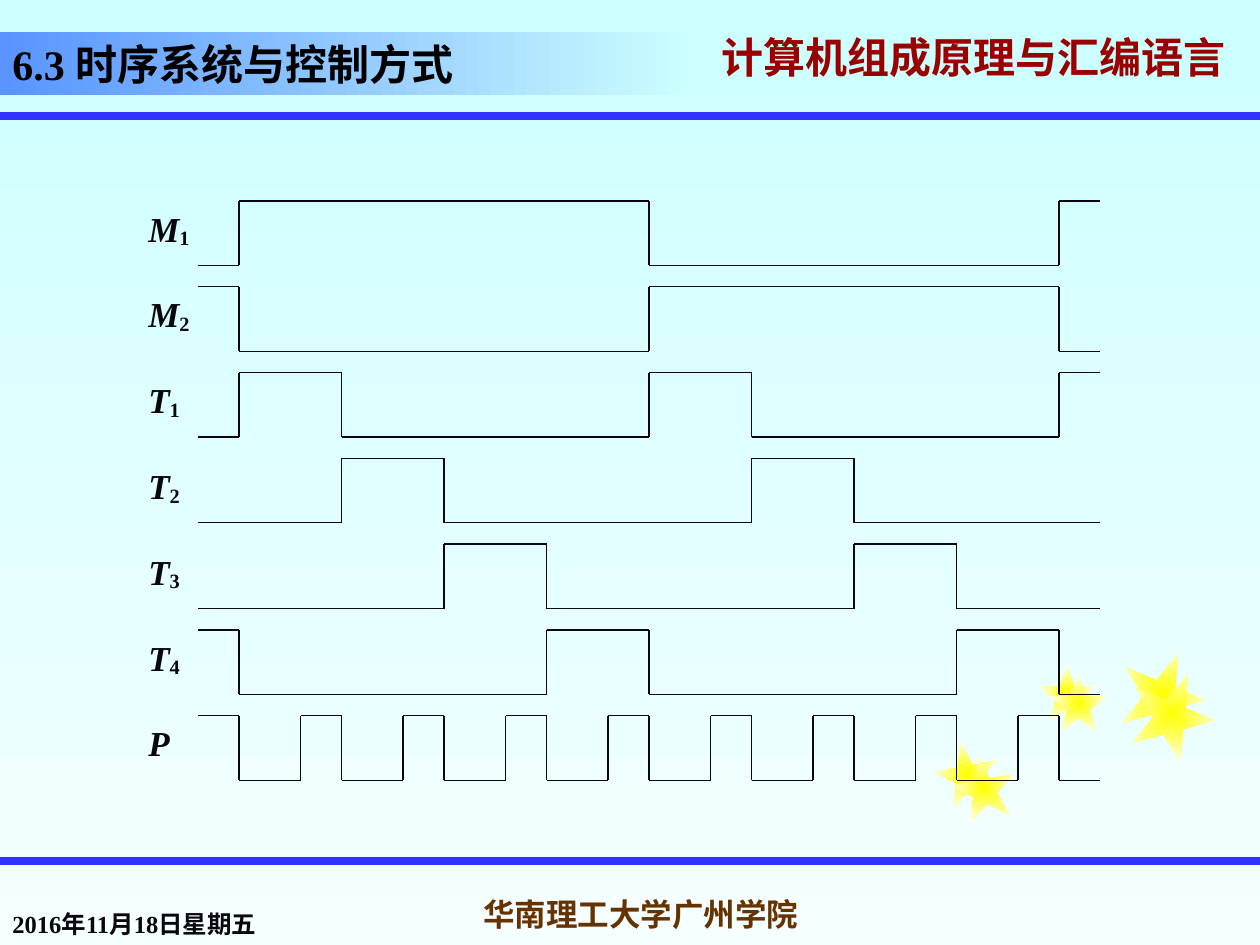
from lxml import etree
from pptx import Presentation
from pptx.dml.color import RGBColor
from pptx.enum import shapes, text
from pptx.oxml.ns import qn
from pptx.util import Cm, Pt

# Content
COURSE = "计算机组成原理与汇编语言"
SECTION = "6.3 时序系统与控制方式"
DATE = "2016年11月18日星期五"
SCHOOL = "华南理工大学广州学院"

# Signal letter, subscript, starting level, cycles at which the level flips
SIGNALS = [
    ("M", "1", 0, [0, 4, 8]),
    ("M", "2", 1, [0, 4, 8]),
    ("T", "1", 0, [0, 1, 4, 5, 8]),
    ("T", "2", 0, [1, 2, 5, 6]),
    ("T", "3", 0, [2, 3, 6, 7]),
    ("T", "4", 1, [0, 3, 4, 7, 8]),
    ("P", "", 1, [0] + [n + part for n in range(8) for part in (0.6, 1)]),
]
# Left, top, size in cm, and rotation
STARS = [
    (18.85, 14.96, 1.27, -11), (20.93, 13.39, 1.17, 0), (22.58, 13.13, 1.7, 22),
    (19.2, 15.24, 1.27, -11), (21.16, 13.59, 1.17, 0), (22.78, 13.54, 1.7, 22),
]
COLORS = {
    "sky": "CCFFFF", "pale": "F5FFFF", "band": "5994FF", "rule": "3333FF",
    "star": "FFFF00", "glow": "FFFFF5", "ink": "08080C", "black": "000000",
    "course": "990000", "school": "663300", "shadow": "808080",
}
LATIN, HAN = "Times New Roman", "Noto Sans CJK SC"

# Timing grid in cm
WIDTH, HEIGHT = 25.4, 19.05
ORIGIN, CYCLE = 4.82, 16.53 / 8
LEAD = 0.4  # cycles drawn before the first and after the last edge
TOP, PITCH, SWING = 4.05, 1.73, 1.3

prs = Presentation()
prs.slide_width, prs.slide_height = Cm(WIDTH), Cm(HEIGHT)
slide = prs.slides.add_slide(prs.slide_layouts[6])


def rgb(name):
    return RGBColor.from_string(COLORS[name])


def blend(fill, start, end, angle=0):
    fill.gradient()
    fill.gradient_angle = angle
    for stop, name in zip(fill.gradient_stops, (start, end)):
        stop.color.rgb = rgb(name)


def line(x1, y1, x2, y2, color, width):
    stroke = slide.shapes.add_connector(
        shapes.MSO_CONNECTOR.STRAIGHT, Cm(x1), Cm(y1), Cm(x2), Cm(y2))
    stroke.line.color.rgb = rgb(color)
    stroke.line.width = Pt(width)
    etree.SubElement(stroke._element.spPr, qn("a:effectLst"))


def style(paragraph, size, color, latin=LATIN):
    font = paragraph.font
    font.name, font.size, font.bold = latin, Pt(size), True
    font.color.rgb = rgb(color)
    etree.SubElement(font._element, qn("a:ea"), typeface=HAN)


def write(frame, words, size, color, anchor, align, latin=LATIN, wrap=True):
    frame.word_wrap = wrap
    frame.vertical_anchor = anchor
    paragraph = frame.paragraphs[0]
    paragraph.text = words
    paragraph.alignment = align
    style(paragraph, size, color, latin)
    return paragraph


def box(left, top, width, height):
    return slide.shapes.add_textbox(Cm(left), Cm(top), Cm(width), Cm(height)).text_frame


# Background, rules and course name
blend(slide.background.fill, "sky", "pale", 270)
for y in (2.33, 17.35):
    line(0, y, WIDTH, y, "rule", 4.5)
course = write(box(14.3, 0.64, 11.1, 1.27), COURSE, 24, "course",
               text.MSO_ANCHOR.MIDDLE, text.PP_ALIGN.LEFT, HAN)
course.line_spacing = 0.7
effects = etree.Element(qn("a:effectLst"))
shadow = etree.SubElement(effects, qn("a:outerShdw"), dist="38100", dir="2700000")
etree.SubElement(shadow, qn("a:srgbClr"), val=COLORS["shadow"])
course.runs[0].font._element.append(effects)

# Stars, bright in the middle
for left, top, size, turn in STARS:
    star = slide.shapes.add_shape(
        shapes.MSO_SHAPE.STAR_5_POINT, Cm(left), Cm(top), Cm(size), Cm(size))
    star.rotation = turn
    star.shadow.inherit = False
    star.line.fill.background()
    blend(star.fill, "star", "glow")
    gradient = star._element.spPr.find(qn("a:gradFill"))
    gradient.remove(gradient.find(qn("a:lin")))
    radial = etree.SubElement(gradient, qn("a:path"), path="shape")
    etree.SubElement(radial, qn("a:fillToRect"), l="50000", t="50000", r="50000", b="50000")

# Footer
write(box(0, 17.78, 5.69, 1.27), DATE, 14, "ink",
      text.MSO_ANCHOR.BOTTOM, text.PP_ALIGN.LEFT)
write(box(8.89, 17.78, 8.05, 1.27), SCHOOL, 18, "school",
      text.MSO_ANCHOR.MIDDLE, text.PP_ALIGN.CENTER, wrap=False)

# Section title on its fading band
band = slide.shapes.add_shape(
    shapes.MSO_SHAPE.RECTANGLE, 0, Cm(0.64), Cm(13.97), Cm(1.27))
band.shadow.inherit = False
band.line.fill.background()
blend(band.fill, "band", "sky")
write(band.text_frame, SECTION, 24, "black",
      text.MSO_ANCHOR.BOTTOM, text.PP_ALIGN.JUSTIFY)

# Timing diagram: one row per signal
for row, (letter, subscript, level, flips) in enumerate(SIGNALS):
    high = TOP + row * PITCH
    levels = (high + SWING, high)
    times = [-LEAD, *flips, 8 + LEAD]
    xs = [ORIGIN + time * CYCLE for time in times]
    for x1, x2 in zip(xs, xs[1:]):
        line(x1, levels[level], x2, levels[level], "ink", 0.75)
        if x2 != xs[-1]:
            line(x2, *levels[:1], x2, levels[1], "ink", 0.75)
        level = 1 - level

    label = box(2.74, high, 2.3, 1.09).paragraphs[0]
    style(label, 20, "ink")
    name = label.add_run()
    name.text, name.font.italic = letter, True
    if subscript:
        index = label.add_run()
        index.text = subscript
        index.font._element.set("baseline", "-10000")

prs.save("out.pptx")
